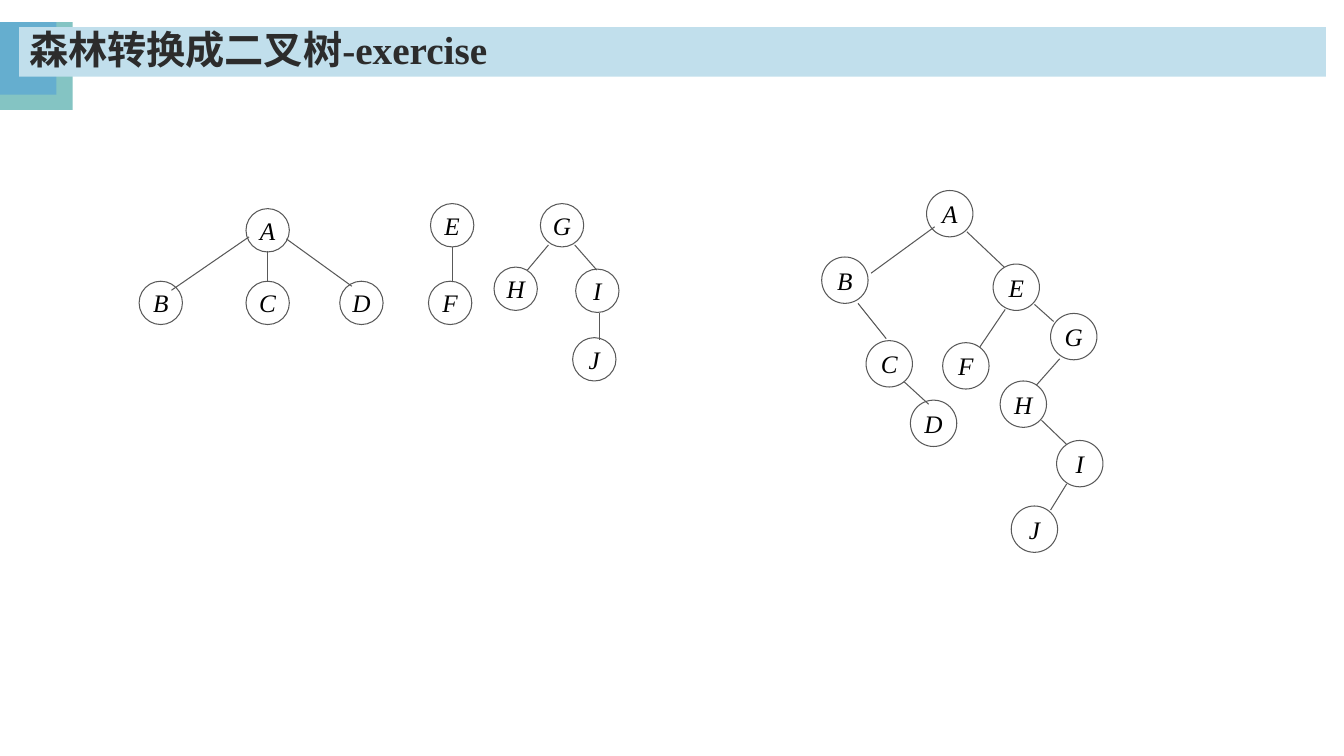
from lxml import etree
from pptx import Presentation
from pptx.dml.color import RGBColor
from pptx.enum import shapes, text
from pptx.oxml import ns
from pptx.util import Inches, Pt

FONT = "Times New Roman"
OUTLINE = "595959"

FOREST_NODES = {
    "A": (2.44, 2.07), "B": (1.38, 2.79), "C": (2.44, 2.79), "D": (3.37, 2.79),
    "E": (4.27, 2.02), "F": (4.25, 2.79),
    "G": (5.36, 2.02), "H": (4.9, 2.65), "I": (5.71, 2.67), "J": (5.68, 3.35),
}
FOREST_EDGES = [
    (2.65, 2.49, 2.65, 2.8), (2.47, 2.35, 1.7, 2.88), (2.84, 2.37, 3.49, 2.84),
    (4.49, 2.45, 4.49, 2.8),
    (5.44, 2.43, 5.23, 2.68), (5.7, 2.43, 5.92, 2.68), (5.95, 3.11, 5.95, 3.37),
]
BINARY_NODES = {
    "A": (9.19, 1.89), "B": (8.15, 2.55), "C": (8.59, 3.38), "D": (9.03, 3.97),
    "E": (9.85, 2.62), "F": (9.35, 3.4), "G": (10.42, 3.11), "H": (9.92, 3.78),
    "I": (10.48, 4.37), "J": (10.03, 5.02),
}
BINARY_EDGES = [
    (9.27, 2.25, 8.64, 2.71), (8.51, 3.01, 8.79, 3.36), (8.97, 3.79, 9.21, 4.01),
    (9.59, 2.3, 9.96, 2.65), (9.97, 3.07, 9.72, 3.44), (10.26, 3.02, 10.45, 3.19),
    (10.51, 3.56, 10.28, 3.82), (10.33, 4.17, 10.58, 4.41), (10.58, 4.8, 10.42, 5.06),
]


def rgb(value):
    return RGBColor.from_string(value)


def add_bar(slide, left, top, width, height, fill):
    bar = slide.shapes.add_shape(
        shapes.MSO_SHAPE.RECTANGLE,
        Inches(left), Inches(top), Inches(width), Inches(height))
    bar.shadow.inherit = False
    bar.fill.solid()
    bar.fill.fore_color.rgb = rgb(fill)
    bar.line.fill.background()
    return bar


def write(shape, words, size, color, align, bold=False, italic=False):
    frame = shape.text_frame
    frame.text = words
    frame.vertical_anchor = text.MSO_ANCHOR.MIDDLE
    paragraph = frame.paragraphs[0]
    paragraph.alignment = align
    font = paragraph.runs[0].font
    font.name = FONT
    font.size = Pt(size)
    font.bold = bold
    font.italic = italic
    font.color.rgb = rgb(color)


def add_title(slide, words):
    banner = add_bar(slide, 0.19, 0.27, 12.96, 0.49, "C1DFEC")
    write(banner, words, 28, "2C2C2C", text.PP_ALIGN.LEFT, bold=True)
    banner.text_frame.word_wrap = True
    banner.text_frame.paragraphs[0].line_spacing = 0.9


def add_node(slide, letter, left, top, diameter):
    node = slide.shapes.add_shape(
        shapes.MSO_SHAPE.OVAL,
        Inches(left), Inches(top), Inches(diameter), Inches(diameter))
    node.shadow.inherit = False
    node.fill.background()
    node.line.color.rgb = rgb(OUTLINE)
    node.line.width = Pt(0.75)
    write(node, letter, 18, "000000", text.PP_ALIGN.CENTER, italic=True)
    node.text_frame.word_wrap = False


def add_edge(slide, *ends):
    edge = slide.shapes.add_connector(
        shapes.MSO_CONNECTOR.STRAIGHT, *(Inches(end) for end in ends))
    edge.line.color.rgb = rgb(OUTLINE)
    edge.line.width = Pt(0.75)
    etree.SubElement(edge._element.spPr, ns.qn("a:effectLst"))


def add_trees(slide, nodes, edges, diameter):
    for letter, (left, top) in nodes.items():
        add_node(slide, letter, left, top, diameter)
    for edge in edges:
        add_edge(slide, *edge)


def main():
    deck = Presentation()
    deck.slide_width = Inches(13.33)
    deck.slide_height = Inches(7.5)
    slide = deck.slides.add_slide(deck.slide_layouts[6])
    add_bar(slide, 0, 0.22, 0.72, 0.87, "84C4C3")
    add_bar(slide, 0, 0.22, 0.56, 0.72, "65AECF")
    add_title(slide, "森林转换成二叉树-exercise")
    add_trees(slide, FOREST_NODES, FOREST_EDGES, 0.43)
    add_trees(slide, BINARY_NODES, BINARY_EDGES, 0.46)
    deck.save("out.pptx")


if __name__ == "__main__":
    main()
